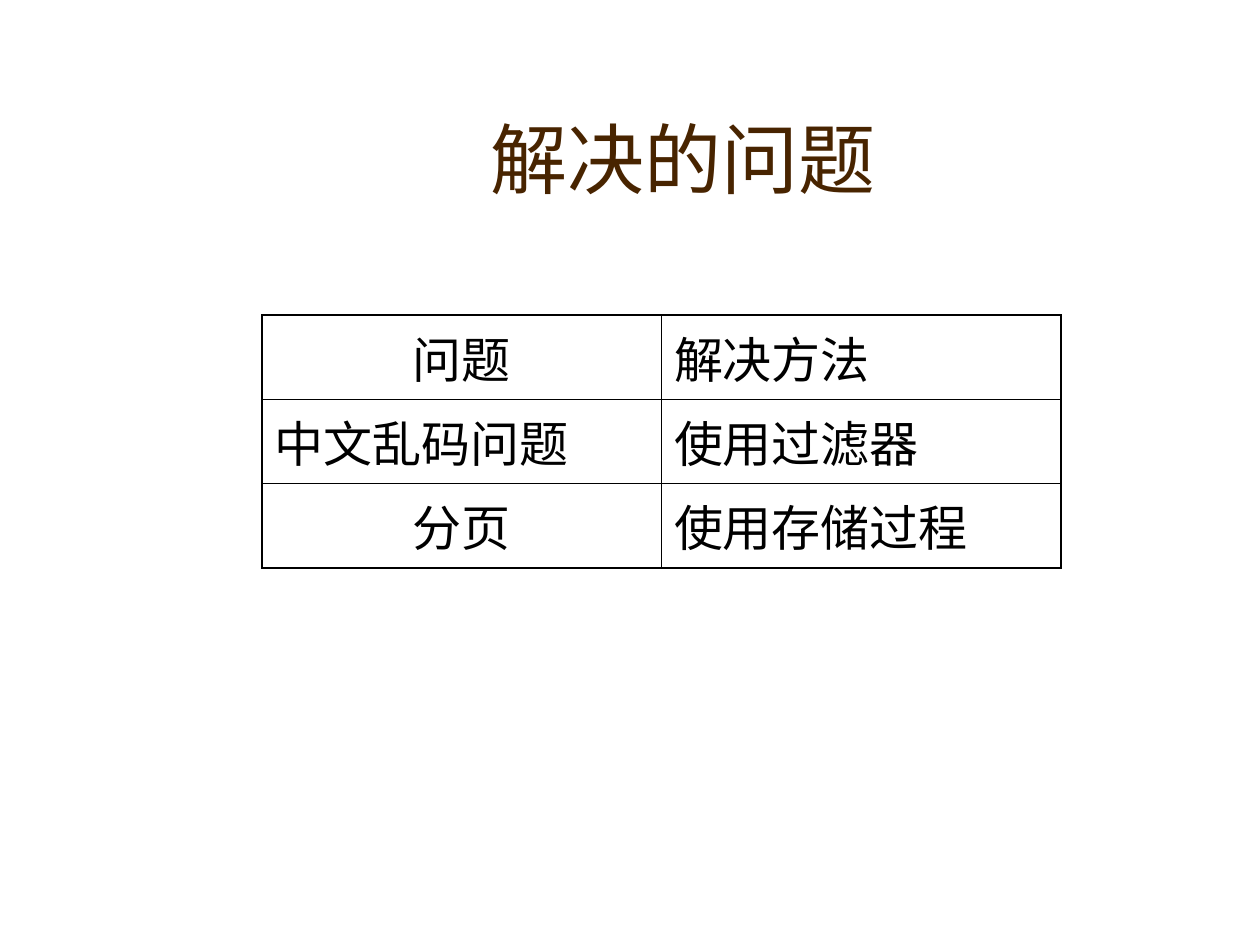
"""Build a slide with a title and a table of problems and their solutions."""
from pptx import Presentation
from pptx.dml.color import RGBColor
from pptx.enum.text import MSO_ANCHOR, MSO_AUTO_SIZE, PP_ALIGN
from pptx.oxml import parse_xml
from pptx.oxml.ns import nsdecls
from pptx.util import Inches, Pt

TITLE = "解决的问题"
ROWS = [
    ("问题", "解决方法"),
    ("中文乱码问题", "使用过滤器"),
    ("分页", "使用存储过程"),
]
CENTERED = {"问题", "分页"}
FONT = "Times New Roman"
BROWN, BLACK = "482400", "000000"
LEFT, TOP, COL_W, ROW_H = 2.08, 2.5, 3.17, 0.67
OUTER, INNER = 1.08, 0.45


def write(tf, text, *, size, color, align=PP_ALIGN.LEFT, before=0):
    p = tf.paragraphs[0]
    p.alignment = align
    p.space_before = Pt(before)
    r = p.add_run()
    r.text = text
    r.font.size = Pt(size)
    r.font.name = FONT
    r.font.color.rgb = RGBColor.from_string(color)


def add_borders(cell, widths):
    for i, (side, width) in enumerate(widths.items()):
        line = parse_xml(
            f'<a:ln{side} {nsdecls("a")} w="{Pt(width)}"><a:solidFill>'
            f'<a:srgbClr val="{BLACK}"/></a:solidFill></a:ln{side}>')
        cell._tc.get_or_add_tcPr().insert(i, line)


def add_title(s):
    sp = s.shapes.title
    sp.left, sp.top, sp.width, sp.height = map(Inches, (1.17, 0.42, 8.5, 1.25))
    tf = sp.text_frame
    tf.auto_size = MSO_AUTO_SIZE.NONE
    tf.vertical_anchor = MSO_ANCHOR.BOTTOM
    write(tf, TITLE, size=44, color=BROWN, align=PP_ALIGN.CENTER)


def add_problem_table(s):
    n_rows, n_cols = len(ROWS), len(ROWS[0])
    table = s.shapes.add_table(
        n_rows, n_cols, Inches(LEFT), Inches(TOP),
        Inches(COL_W * n_cols), Inches(ROW_H * n_rows)).table
    table.first_row = table.horz_banding = False
    for i, row in enumerate(ROWS):
        for j, text in enumerate(row):
            cell = table.cell(i, j)
            cell.fill.background()
            align = PP_ALIGN.CENTER if text in CENTERED else PP_ALIGN.LEFT
            write(cell.text_frame, text, size=28, color=BLACK, align=align, before=7)
            add_borders(cell, {
                "L": OUTER if j == 0 else INNER,
                "R": OUTER if j == n_cols - 1 else INNER,
                "T": OUTER if i == 0 else INNER,
                "B": OUTER if i == n_rows - 1 else INNER,
            })


def main():
    prs = Presentation()
    prs.slide_width, prs.slide_height = Inches(10), Inches(7.5)
    s = prs.slides.add_slide(prs.slide_layouts[5])
    add_title(s)
    add_problem_table(s)
    prs.save("out.pptx")


if __name__ == "__main__":
    main()
